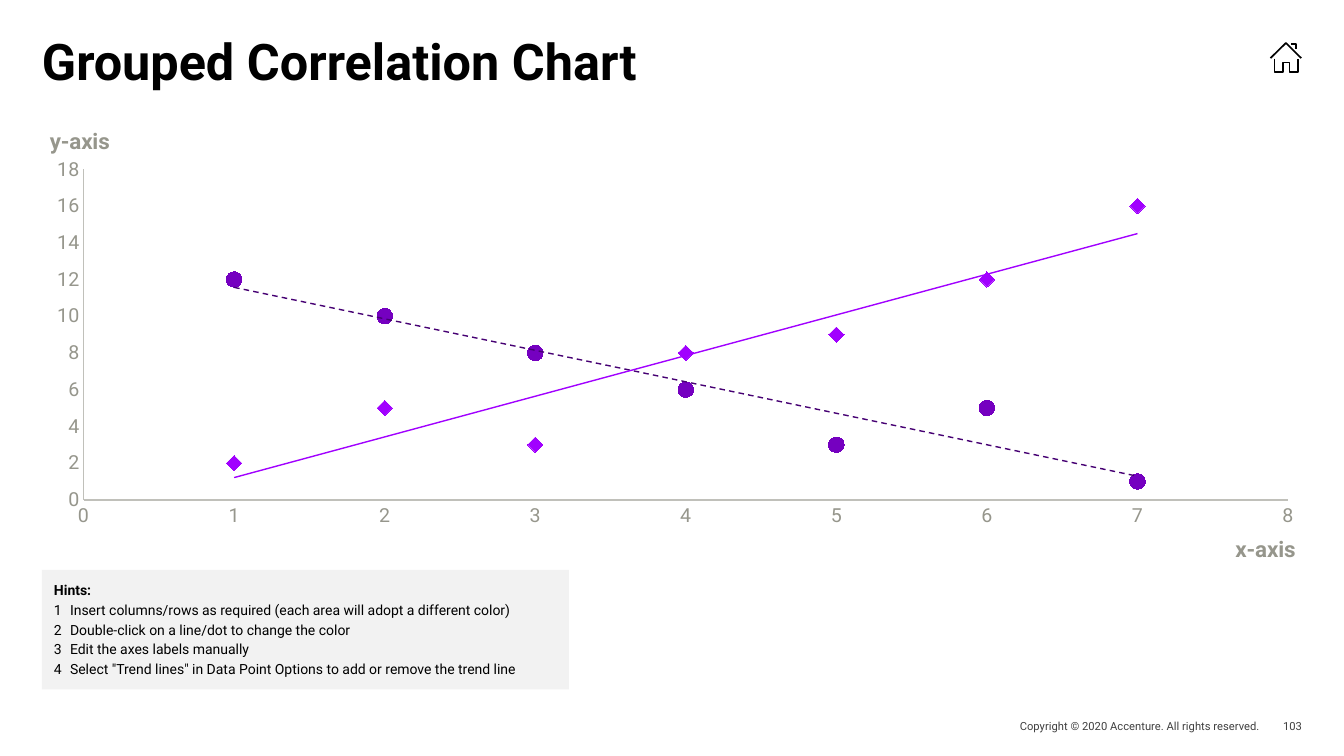
from lxml import etree
from pptx import Presentation
from pptx.chart.data import XyChartData
from pptx.dml.color import RGBColor
from pptx.enum.chart import XL_CHART_TYPE, XL_MARKER_STYLE, XL_TICK_MARK
from pptx.enum.shapes import MSO_SHAPE
from pptx.enum.text import MSO_ANCHOR, PP_ALIGN
from pptx.oxml import parse_xml
from pptx.oxml.ns import nsdecls, qn
from pptx.util import Pt

SCATTER = XL_CHART_TYPE.XY_SCATTER
DIAMOND, CIRCLE = XL_MARKER_STYLE.DIAMOND, XL_MARKER_STYLE.CIRCLE
NO_TICK = XL_TICK_MARK.NONE
RECT = MSO_SHAPE.RECTANGLE
TOP, MIDDLE = MSO_ANCHOR.TOP, MSO_ANCHOR.MIDDLE
LEFT, RIGHT = PP_ALIGN.LEFT, PP_ALIGN.RIGHT

FONT = "Roboto"
COLORS = {
    "black": "000000",
    "footer": "404040",
    "panel": "F2F2F2",
    "label": "96968C",
    "axis": "C0C0BA",
    "rising": "A100FF",
    "falling": "7500C0",
    "falling trend": "460073",
}

# name, y values, marker, marker colour, trend colour, trend dash
SERIES = [
    ("Series 1", (2, 5, 3, 8, 9, 12, 16), DIAMOND, "rising", "rising", "solid"),
    ("Series 2", (12, 10, 8, 6, 3, 5, 1), CIRCLE, "falling", "falling trend", "dash"),
]
HINTS = [
    "Insert columns/rows as required (each area will adopt a different color)",
    "Double-click on a line/dot to change the color",
    "Edit the axes labels manually",
    'Select "Trend lines" in Data Point Options to add or remove the trend line',
]
HOUSE_STROKES = [
    [(910.5, 41.8), (910.5, 51.4), (916.4, 51.4), (916.4, 44.6),
     (921.2, 44.6), (921.2, 51.4), (927, 51.4), (927, 41.8)],
    [(922.2, 31.3), (925.8, 31.3), (925.8, 35)],
    [(907.5, 41.5), (918.5, 30.7), (929.4, 41.5)],
]


def rgb(color):
    return RGBColor.from_string(COLORS[color])


def set_layout(parent, index, x, y, w=None, h=None):
    """Place a chart part by fractions of the chart area."""
    old = parent.find(qn("c:layout"))
    if old is not None:
        parent.remove(old)
    layout = parse_xml(f"<c:layout {nsdecls('c')}><c:manualLayout/></c:layout>")
    manual = layout[0]
    settings = [("xMode", "edge"), ("yMode", "edge"), ("x", x), ("y", y)]
    if w is not None:
        settings.insert(0, ("layoutTarget", "inner"))
        settings += [("w", w), ("h", h)]
    for tag, value in settings:
        etree.SubElement(manual, qn(f"c:{tag}")).set("val", str(value))
    parent.insert(index, layout)


def add_trend(series, color, dash):
    trend = parse_xml(
        f'<c:trendline {nsdecls("c", "a")}><c:spPr><a:ln w="{Pt(1)}">'
        f'<a:solidFill><a:srgbClr val="{COLORS[color]}"/></a:solidFill>'
        f'<a:prstDash val="{dash}"/></a:ln></c:spPr>'
        '<c:trendlineType val="linear"/><c:dispRSqr val="0"/>'
        '<c:dispEq val="0"/></c:trendline>')
    series._element.find(qn("c:xVal")).addprevious(trend)


class SlideBuilder:
    def __init__(self, slide):
        self.slide = slide

    def font(self, font, size, color, bold=False):
        font.name, font.size, font.bold = FONT, Pt(size), bold
        font.color.rgb = rgb(color)

    def frame(self, tf, anchor=TOP, insets=(0, 0, 0, 0)):
        tf.word_wrap = True
        tf.vertical_anchor = anchor
        (tf.margin_left, tf.margin_top,
         tf.margin_right, tf.margin_bottom) = map(Pt, insets)

    def run(self, p, text, size, color, bold=False):
        r = p.add_run()
        r.text = text
        self.font(r.font, size, color, bold)

    def text(self, box, text, size, color, bold=False, align=LEFT, anchor=TOP, spacing=1):
        tf = self.slide.shapes.add_textbox(*map(Pt, box)).text_frame
        self.frame(tf, anchor)
        p = tf.paragraphs[0]
        p.alignment, p.line_spacing = align, spacing
        self.run(p, text, size, color, bold)

    def hint_panel(self, box, heading, hints):
        sp = self.slide.shapes.add_shape(RECT, *map(Pt, box))
        sp.shadow.inherit = False
        sp.fill.solid()
        sp.fill.fore_color.rgb = rgb("panel")
        sp.line.fill.background()
        tf = sp.text_frame
        self.frame(tf, TOP, (8.6, 8.6, 5.8, 8.6))
        lines = [heading] + [f"{n}\t{hint}" for n, hint in enumerate(hints, 1)]
        for i, line in enumerate(lines):
            p = tf.add_paragraph() if i else tf.paragraphs[0]
            p.alignment = LEFT
            p.space_before, p.space_after = Pt(1 if i else 0), Pt(1)
            pPr = p._p.get_or_add_pPr()
            pPr.set("marL", str(Pt(11.5)))
            pPr.set("indent", str(-Pt(11.5)))
            self.run(p, line, 10, "black", bold=i == 0)

    def stroke(self, points, width):
        start, *rest = [(Pt(x), Pt(y)) for x, y in points]
        builder = self.slide.shapes.build_freeform(*start)
        builder.add_line_segments(rest, close=False)
        sp = builder.convert_to_shape()
        sp.shadow.inherit = False
        sp.fill.background()
        sp.line.color.rgb = rgb("black")
        sp.line.width = Pt(width)

    def axis(self, axis, title, title_at, maximum, step, line_width):
        axis.minimum_scale, axis.maximum_scale, axis.major_unit = 0, maximum, step
        axis.has_major_gridlines = False
        axis.major_tick_mark = axis.minor_tick_mark = NO_TICK
        axis.format.line.color.rgb = rgb("axis")
        axis.format.line.width = Pt(line_width)
        self.font(axis.tick_labels.font, 14, "label")
        tf = axis.axis_title.text_frame
        self.run(tf.paragraphs[0], title, 16, "label", bold=True)
        tf._txBody.find(qn("a:bodyPr")).set("rot", "0")
        set_layout(axis.axis_title._element, 1, *title_at)

    def correlation_chart(self, box):
        data = XyChartData()
        for name, values, *_ in SERIES:
            points = data.add_series(name)
            for x, y in enumerate(values, 1):
                points.add_data_point(x, y)
        chart = self.slide.shapes.add_chart(SCATTER, *map(Pt, box), data).chart
        chart.has_legend = chart.has_title = False
        self.font(chart.font, 18, "label")
        plot = chart.plots[0]
        plot.vary_by_categories = False
        for series, (_, _, marker, color, trend, dash) in zip(plot.series, SERIES):
            series.smooth = False
            series.format.line.fill.background()
            series.marker.style, series.marker.size = marker, 11
            series.marker.format.fill.solid()
            series.marker.format.fill.fore_color.rgb = rgb(color)
            series.marker.format.line.color.rgb = rgb(color)
            add_trend(series, trend, dash)
        self.axis(chart.category_axis, "x-axis", (0.944, 0.93), 8, 1, 1)
        self.axis(chart.value_axis, "y-axis", (0.003, 0.015), 18, 2, 0.5)
        plot_area = chart._chartSpace.find(".//" + qn("c:plotArea"))
        set_layout(plot_area, 0, 0.033, 0.119, 0.956, 0.74)


def main():
    prs = Presentation()
    prs.slide_width, prs.slide_height = Pt(960), Pt(540)
    s = SlideBuilder(prs.slides.add_slide(prs.slide_layouts[6]))
    s.text((655, 510.5, 245, 16), "Copyright © 2020 Accenture. All rights reserved.",
           8, "footer", align=RIGHT, anchor=MIDDLE)
    s.text((900, 510.5, 30, 16), "103", 8, "footer", align=RIGHT, anchor=MIDDLE)
    s.text((30, 30, 900, 78), "Grouped Correlation Chart", 36, "black", bold=True, spacing=0.8)
    s.hint_panel((30, 407, 376.5, 85.5), "Hints:", HINTS)
    for points in HOUSE_STROKES:
        s.stroke(points, 1.2)
    s.correlation_chart((30, 83, 900, 324))
    prs.save("out.pptx")


if __name__ == "__main__":
    main()
